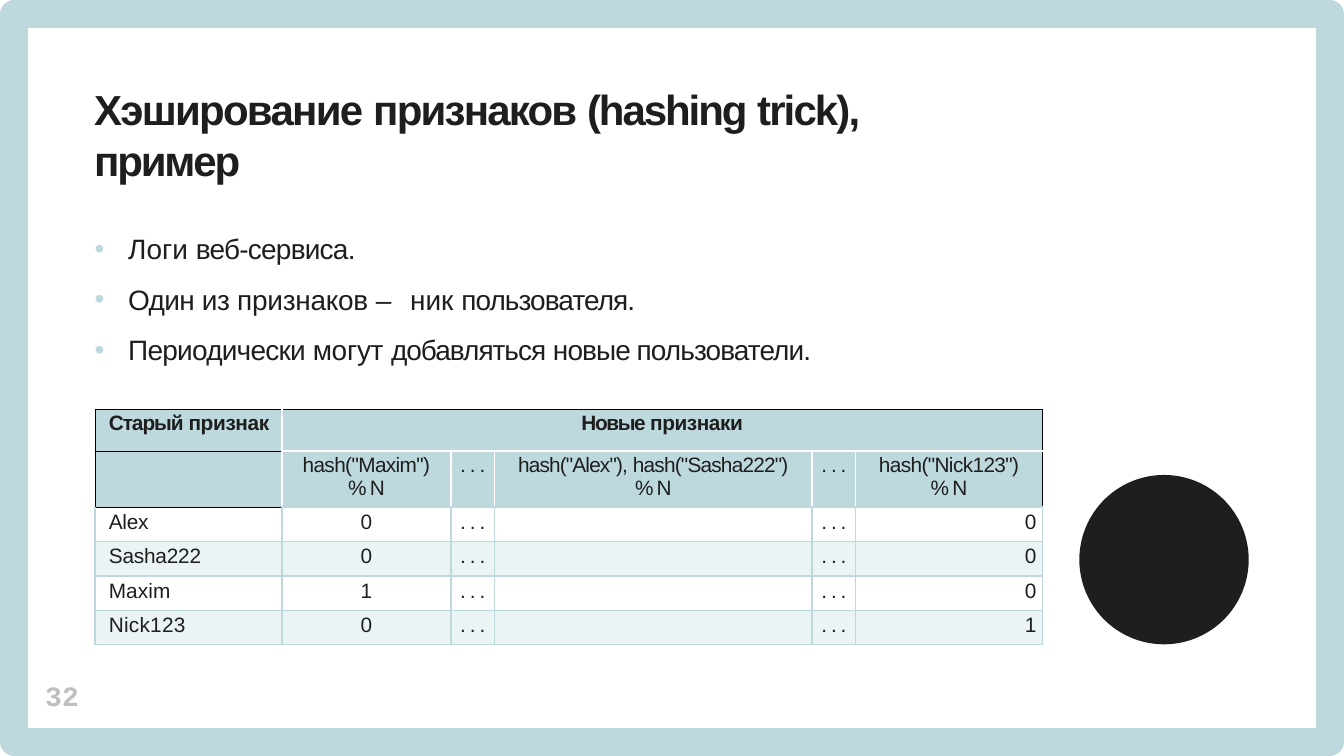
"""Build the slide about the hashing trick with its example table."""
from lxml import etree
from pptx import Presentation
from pptx import util as u
from pptx.dml.color import RGBColor
from pptx.enum import shapes, text
from pptx.oxml import ns

COLORS = {"ink": "1E1E1E", "accent": "BDD9DE", "band": "EBF4F5",
          "number": "BFBFBF", "white": "FFFFFF", "black": "000000"}
RGB = {name: RGBColor.from_string(value) for name, value in COLORS.items()}
LEFT, CENTER, RIGHT = text.PP_ALIGN.LEFT, text.PP_ALIGN.CENTER, text.PP_ALIGN.RIGHT


def write(paragraph, runs, size, color="ink", bold=False, font="Arial"):
    for words, spacing in runs:
        run = paragraph.add_run()
        run.text = words
        run._r.get_or_add_rPr().set("spc", str(round(spacing * 100)))
    paragraph.font.name = font
    paragraph.font.size = u.Pt(size)
    paragraph.font.bold = bold
    paragraph.font.color.rgb = RGB[color]


def place(shape, left, top, width, height, inset_top=0):
    shape.left, shape.top, shape.width, shape.height = map(u.Cm, (left, top, width, height))
    frame = shape.text_frame
    frame.word_wrap = True
    frame.auto_size = text.MSO_AUTO_SIZE.NONE
    frame.vertical_anchor = text.MSO_ANCHOR.TOP
    frame.margin_left = frame.margin_right = frame.margin_bottom = 0
    frame.margin_top = u.Cm(inset_top)
    return frame


deck = Presentation()
deck.slide_width, deck.slide_height = u.Cm(55.86), u.Cm(31.42)
slide = deck.slides.add_slide(deck.slide_layouts[1])

border = slide.shapes.add_shape(shapes.MSO_SHAPE.RECTANGLE,
                                u.Cm(0.58), u.Cm(0.58), u.Cm(54.69), u.Cm(30.25))
border.shadow.inherit = False
border.fill.background()
border.line.color.rgb = RGB["accent"]
border.line.width = u.Pt(33)
etree.SubElement(border._element.spPr.find(ns.qn("a:ln")), ns.qn("a:round"))

circle = slide.shapes.add_shape(shapes.MSO_SHAPE.OVAL,
                                u.Cm(44.86), u.Cm(19.74), u.Cm(7.04), u.Cm(7.04))
circle.shadow.inherit = False
circle.fill.solid()
circle.fill.fore_color.rgb = RGB["ink"]
circle.line.fill.background()

heading = place(slide.shapes.title, 3.91, 3.43, 38.1, 5.28, 0.06).paragraphs[0]
heading.alignment = LEFT
write(heading, [("Хэширование ", -2), ("признаков ", -2.1), ("(hashing ", -2.4),
                ("trick), ", -2.2), ("пример", -2.5)], 49.5, bold=True)

points = [
    [("Логи ", 0), ("веб-сервиса.", -0.9)],
    [("Один ", -0.8), ("из ", -0.6), ("признаков ", -0.3), ("– ", 6.4),
     ("ник ", 0), ("пользователя.", -1.1)],
    [("Периодически ", -0.9), ("могут ", -0.3), ("добавляться ", -1.2),
     ("новые пользователи.", -1.1)],
]
body = place(slide.placeholders[1], 3.91, 8.89, 30.18, 6.32, 0.74)
for index, runs in enumerate(points):
    point = body.add_paragraph() if index else body.paragraphs[0]
    point.space_before = u.Pt(19.8 if index else 0)
    properties = point._p.get_or_add_pPr()
    properties.set("marL", str(u.Cm(1.42)))
    properties.set("indent", str(u.Cm(-1.4)))
    bullet_color = etree.SubElement(properties, ns.qn("a:buClr"))
    etree.SubElement(bullet_color, ns.qn("a:srgbClr"), val=COLORS["accent"])
    etree.SubElement(properties, ns.qn("a:buChar"), char="•")
    write(point, runs, 33)

page = place(slide.shapes.add_textbox(0, 0, 0, 0), 1.88, 28.3, 1.8, 1.4).paragraphs[0]
page.line_spacing = u.Pt(37.3)
write(page, [("32", 0)], 33, "number", True, "Courier New")

modulo = [("% ", -3.1), ("N", -0.4)]
dots = [[(". . .", -1.1)]]
rows = [
    [[[("Старый ", -1.2), ("признак", -0.4)]],
     [[("Новые ", -1.6), ("признаки", -0.5)]], [], [], [], []],
    [[], [[('hash("Maxim")', -0.7)], modulo], dots,
     [[('hash("Alex"), ', -1), ('hash("Sasha222")', -0.9)], modulo], dots,
     [[('hash("Nick123")', -0.7)], modulo]],
]
for nick, spacing, maxim, nick123 in [("Alex", -0.3, "0", "0"), ("Sasha222", -0.2, "0", "0"),
                                      ("Maxim", 0.1, "1", "0"), ("Nick123", 0.3, "0", "1")]:
    rows.append([[[(nick, spacing)]], [[(maxim, 0)]], dots, [], dots, [[(nick123, 0)]]])

widths = [7.77, 7.04, 1.8, 13.21, 1.8, 7.77]
heights = [1.75, 2.34, 1.42, 1.45, 1.42, 1.42]
table = slide.shapes.add_table(len(rows), len(widths), u.Cm(3.94), u.Cm(16.99),
                               u.Cm(sum(widths)), u.Cm(sum(heights))).table
table.first_row = table.horz_banding = False
for column, width in zip(table.columns, widths):
    column.width = u.Cm(width)
for row, height in zip(table.rows, heights):
    row.height = u.Cm(height)
table.cell(0, 1).merge(table.cell(0, 5))

for r, row in enumerate(rows):
    for c, lines in enumerate(row):
        cell = table.cell(r, c)
        header = r < 2
        edges = dict.fromkeys("LRTB", "accent")
        if header:
            edges["L"] = "white" if c else "black"
            edges["R"] = "black" if c == 5 or (r, c) == (0, 1) else "white"
            edges["T"] = "white" if r and c else "black"
            edges["B"] = "black" if c == 0 else "accent" if r else "white"
        elif (r, c) == (2, 0):
            edges["T"] = "black"
        for side, color in edges.items():
            edge = etree.SubElement(cell._tc.get_or_add_tcPr(), ns.qn("a:ln" + side),
                                    w=str(u.Pt(0.75 if color == "black" else 2.2)))
            paint = etree.SubElement(edge, ns.qn("a:solidFill"))
            etree.SubElement(paint, ns.qn("a:srgbClr"), val=COLORS[color])
        cell.fill.solid()
        cell.fill.fore_color.rgb = RGB["accent" if header else "band" if r % 2 else "white"]
        for index, runs in enumerate(lines):
            line = cell.text_frame.add_paragraph() if index else cell.text_frame.paragraphs[0]
            line.alignment = LEFT if c == 0 else RIGHT if c == 5 and not header else CENTER
            if c == 0:
                line._p.get_or_add_pPr().set("marL", str(u.Cm(0.33)))
            if len(lines) > 1:
                line.line_spacing = u.Pt(27)
            write(line, runs, 24.5, bold=r == 0)

deck.save("out.pptx")
